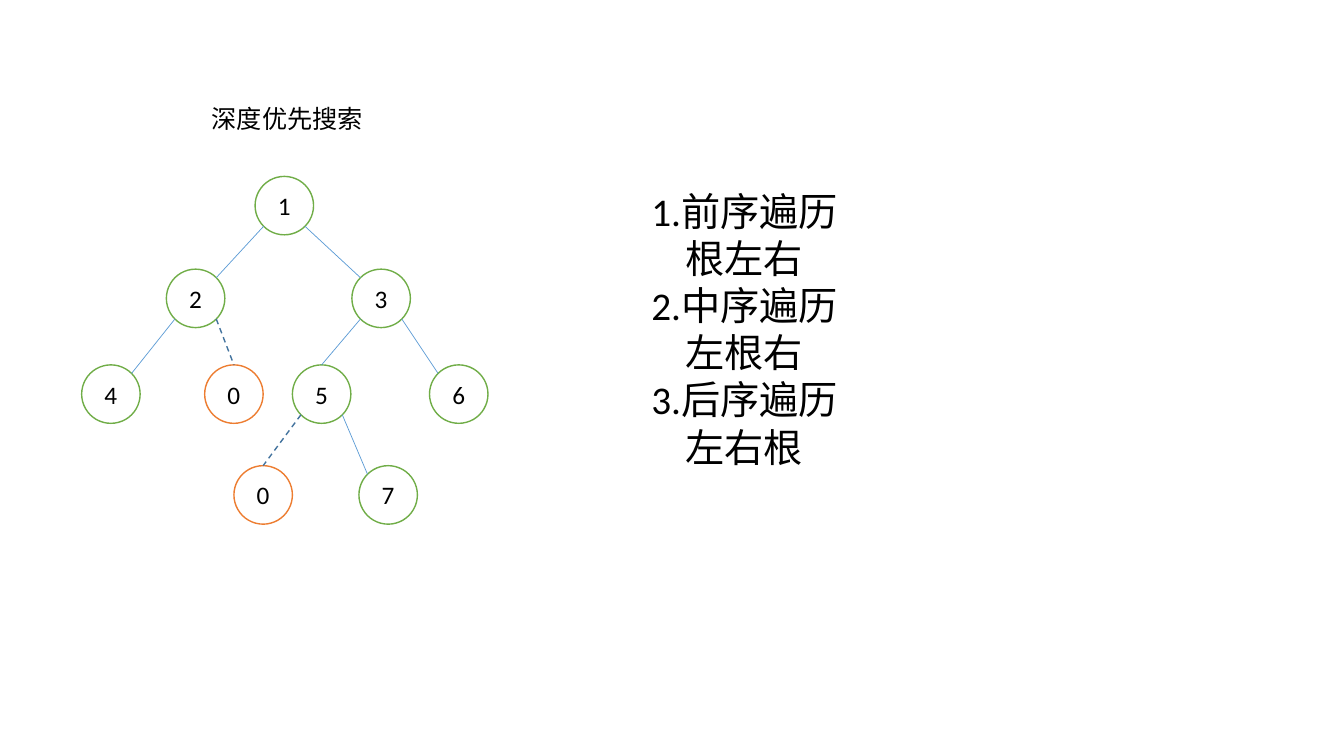
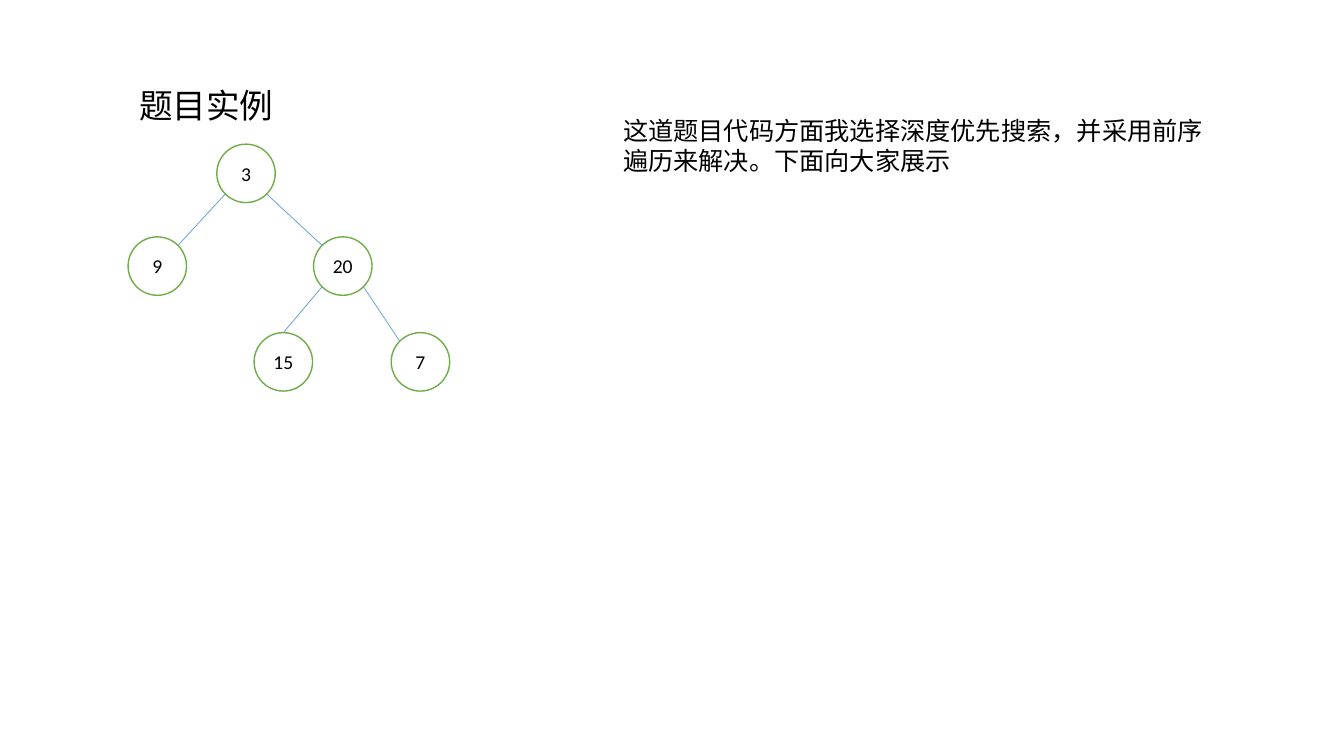
from dataclasses import dataclass
from math import cos, radians, sin

from lxml.etree import SubElement
from pptx import Presentation
from pptx.dml.color import RGBColor
from pptx.enum.dml import MSO_LINE_DASH_STYLE as Dash
from pptx.enum.shapes import MSO_CONNECTOR, MSO_SHAPE
from pptx.enum.text import MSO_ANCHOR, MSO_AUTO_SIZE, PP_ALIGN
from pptx.oxml.ns import qn
from pptx.util import Inches, Pt


@dataclass(frozen=True)
class Theme:
    """Colours, font and sizes that the slides share."""
    font: str = "Calibri"
    text: RGBColor = RGBColor(0x00, 0x00, 0x00)
    node_fill: RGBColor = RGBColor(0xFF, 0xFF, 0xFF)
    node_line: RGBColor = RGBColor(0x70, 0xAD, 0x47)
    empty_line: RGBColor = RGBColor(0xED, 0x7D, 0x31)
    edge: RGBColor = RGBColor(0x5B, 0x9B, 0xD5)
    empty_edge: RGBColor = RGBColor(0x43, 0x73, 0x9E)
    small: int = 14
    normal: int = 18
    heading: int = 24
    large: int = 28


THEME = Theme()
DIAMETER = 0.58
EMPTY = "0"

# Connection sites of an ellipse run anticlockwise from the top, 45 degrees apart.
TOP, TOP_LEFT, BOTTOM_LEFT, BOTTOM_RIGHT, TOP_RIGHT = 0, 1, 3, 5, 7

# Route from the root -> offset from the root in inches, site where the edge arrives.
SLOTS = {
    "": (0, 0, None),
    "L": (-0.88, 0.92, TOP_RIGHT),
    "R": (0.96, 0.92, TOP_LEFT),
    "LL": (-1.72, 1.87, TOP_RIGHT),
    "LR": (-0.5, 1.87, TOP),
    "RL": (0.37, 1.87, TOP),
    "RR": (1.73, 1.87, TOP_LEFT),
    "RLL": (-0.21, 2.87, TOP),
    "RLR": (1.03, 2.87, TOP_LEFT),
}

TRAVERSALS = [
    ("1.前序遍历", "根左右"),
    ("2.中序遍历", "左根右"),
    ("3.后序遍历", "左右根"),
]


def add_run(paragraph, text, size):
    """Add one run in the theme font and colour."""
    run = paragraph.add_run()
    run.text = text
    run.font.name = THEME.font
    run.font.size = Pt(size)
    run.font.color.rgb = THEME.text


def fill_placeholder(placeholder, box, lines, size):
    """Place a placeholder and write (text, indent in inches) lines in it."""
    placeholder.left, placeholder.top, placeholder.width, placeholder.height = map(Inches, box)
    frame = placeholder.text_frame
    frame.word_wrap = True
    frame.auto_size = MSO_AUTO_SIZE.NONE
    frame.vertical_anchor = MSO_ANCHOR.TOP
    for number, (text, indent) in enumerate(lines):
        paragraph = frame.add_paragraph() if number else frame.paragraphs[0]
        paragraph.alignment = PP_ALIGN.LEFT
        paragraph.line_spacing = 1.0
        paragraph.space_before = paragraph.space_after = Pt(0)
        properties = paragraph._p.get_or_add_pPr()
        properties.set("marL", str(Inches(indent)))
        properties.set("indent", "0")
        SubElement(properties, qn("a:buNone"))
        add_run(paragraph, text, size)


def add_node(slide, left, top, label, size):
    """Draw one tree node as a labelled circle."""
    shape = slide.shapes.add_shape(
        MSO_SHAPE.OVAL, Inches(left), Inches(top), Inches(DIAMETER), Inches(DIAMETER))
    shape.shadow.inherit = False
    shape.fill.solid()
    shape.fill.fore_color.rgb = THEME.node_fill
    shape.line.color.rgb = THEME.empty_line if label == EMPTY else THEME.node_line
    shape.line.width = Pt(1)
    frame = shape.text_frame
    frame.word_wrap = False
    frame.margin_left = frame.margin_right = frame.margin_top = frame.margin_bottom = 0
    frame.vertical_anchor = MSO_ANCHOR.MIDDLE
    paragraph = frame.paragraphs[0]
    paragraph.alignment = PP_ALIGN.CENTER
    add_run(paragraph, label, size)
    return shape


def site_point(shape, site):
    """Return the position of a connection site on a circle."""
    angle = radians(90 + 45 * site)
    radius = shape.width / 2
    return (round(shape.left + radius * (1 + cos(angle))),
            round(shape.top + radius * (1 - sin(angle))))


def add_edge(slide, parent, parent_site, child, child_site, dashed):
    """Join two nodes with a line that is glued to both."""
    connector = slide.shapes.add_connector(
        MSO_CONNECTOR.STRAIGHT, *site_point(parent, parent_site), *site_point(child, child_site))
    connector.line.color.rgb = THEME.empty_edge if dashed else THEME.edge
    connector.line.width = Pt(1 if dashed else 0.5)
    if dashed:
        connector.line.dash_style = Dash.DASH
    element = connector._element
    SubElement(element.spPr, qn("a:effectLst"))
    joints = element.find(".//" + qn("p:cNvCxnSpPr"))
    for tag, shape, site in (("a:stCxn", parent, parent_site), ("a:endCxn", child, child_site)):
        SubElement(joints, qn(tag), id=str(shape.shape_id), idx=str(site))


def add_tree(slide, left, top, labels, size):
    """Draw a binary tree from labels keyed by their route from the root."""
    nodes = {}
    for route, label in labels.items():
        across, down, _ = SLOTS[route]
        nodes[route] = add_node(slide, left + across, top + down, label, size)
    for route, child in nodes.items():
        if route:
            parent_site = BOTTOM_LEFT if route.endswith("L") else BOTTOM_RIGHT
            add_edge(slide, nodes[route[:-1]], parent_site, child, SLOTS[route][2],
                     labels[route] == EMPTY)


def add_search_slide(presentation):
    """Show the depth-first search tree and the three traversal orders."""
    slide = presentation.slides.add_slide(presentation.slide_layouts[1])
    fill_placeholder(slide.shapes.title, (2, 0.97, 1.77, 0.4),
                     [("深度优先搜索", 0)], THEME.normal)
    lines = [line for name, order in TRAVERSALS for line in ((name, 0), (order, 0.34))]
    fill_placeholder(slide.placeholders[1], (6.36, 1.81, 5.27, 2.9), lines, THEME.large)
    labels = {"": "1", "L": "2", "R": "3", "LL": "4", "LR": EMPTY,
              "RL": "5", "RR": "6", "RLL": EMPTY, "RLR": "7"}
    add_tree(slide, 2.53, 1.75, labels, THEME.normal)


def add_example_slide(presentation):
    """Show the example tree and the chosen approach."""
    slide = presentation.slides.add_slide(presentation.slide_layouts[1])
    fill_placeholder(slide.shapes.title, (1.28, 0.79, 2.07, 0.51),
                     [("题目实例", 0)], THEME.heading)
    approach = "这道题目代码方面我选择深度优先搜索，并采用前序遍历来解决。下面向大家展示"
    fill_placeholder(slide.placeholders[1], (6.08, 1.09, 5.97, 0.71),
                     [(approach, 0)], THEME.normal)
    labels = {"": "3", "L": "9", "R": "20", "RL": "15", "RR": "7"}
    add_tree(slide, 2.15, 1.43, labels, THEME.small)


def main():
    """Build and save the presentation."""
    presentation = Presentation()
    presentation.slide_width = Inches(13.33)
    presentation.slide_height = Inches(7.5)
    add_search_slide(presentation)
    add_example_slide(presentation)
    presentation.save("out.pptx")


main()
